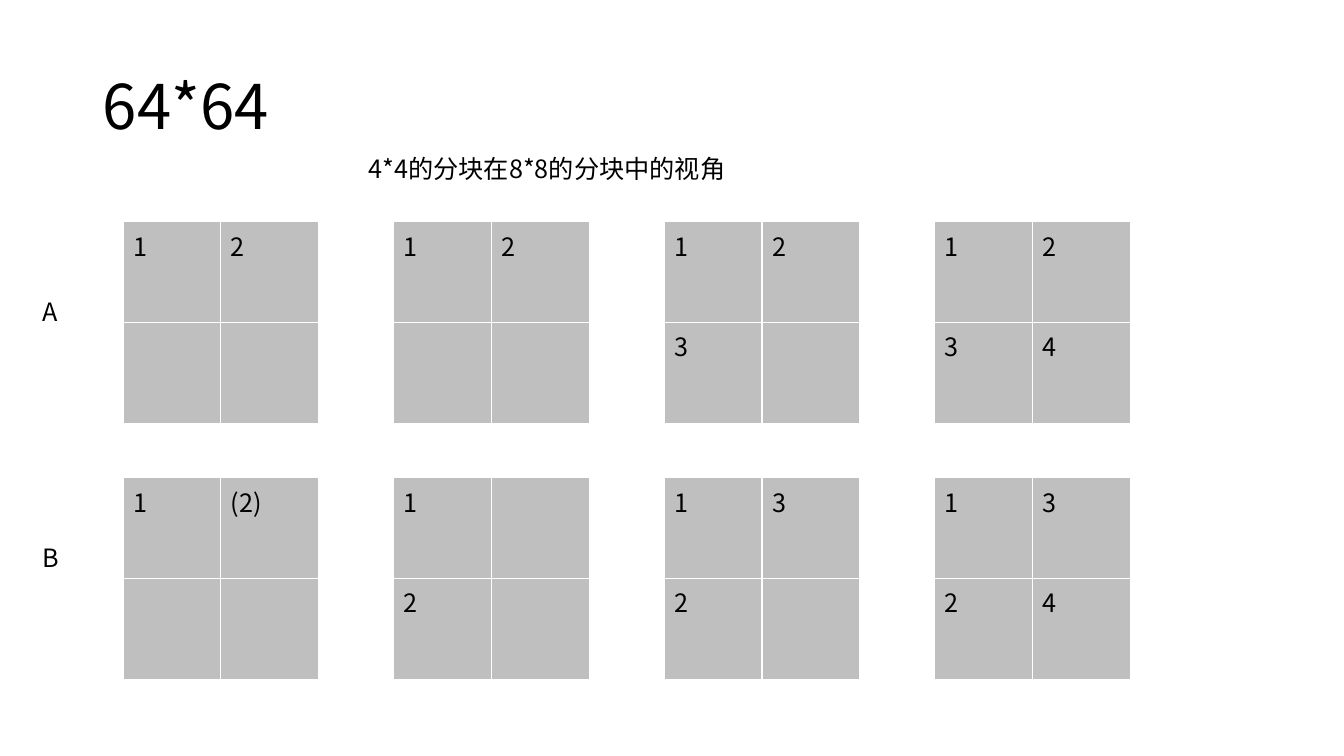
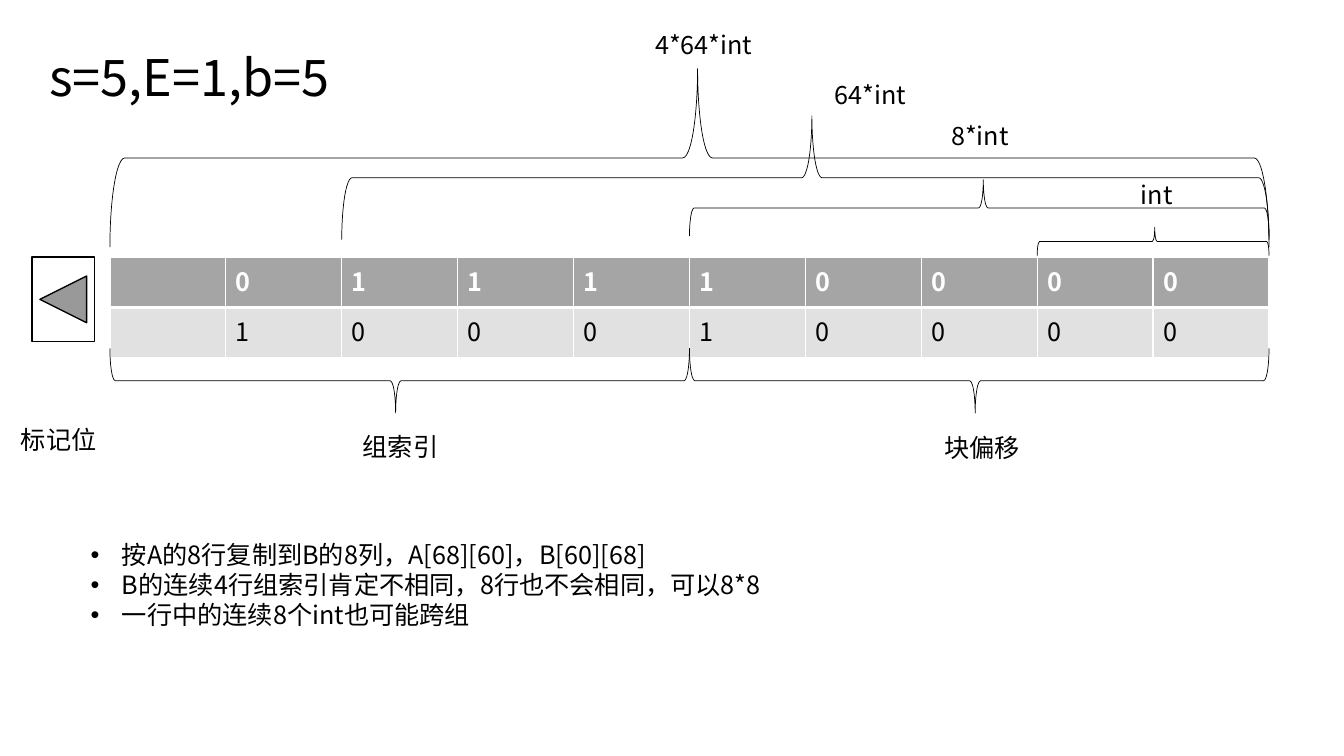
from collections import namedtuple

from lxml.etree import SubElement
from pptx import Presentation
from pptx.dml.color import RGBColor
from pptx.enum.shapes import MSO_SHAPE
from pptx.enum.text import MSO_ANCHOR as Anchor, MSO_AUTO_SIZE as AutoSize, PP_ALIGN as Align
from pptx.oxml.ns import qn
from pptx.oxml.xmlchemy import OxmlElement
from pptx.util import Cm, Pt

Box = namedtuple("Box", "left top width height")

FONT = "Noto Sans CJK SC"
COLORS = {"text": "000000", "white": "FFFFFF", "block": "BFBFBF",
          "header": "A5A5A5", "row": "E1E1E1"}
TITLE_ONLY, TITLE_AND_BODY = 5, 1
LABEL_HEIGHT = 1.02


def rgb(name):
    """Return the named colour."""
    return RGBColor.from_string(COLORS[name])


def lengths(box):
    """Turn a box in centimetres into slide lengths."""
    return [Cm(value) for value in box]


def move(shape, box):
    """Place a shape at the box."""
    shape.left, shape.top, shape.width, shape.height = lengths(box)


def add_run(paragraph, text, size=18, color="text", bold=False):
    """Append a run in the deck's font."""
    run = paragraph.add_run()
    run.text = text
    font = run.font
    font.name, font.size, font.bold = FONT, Pt(size), bold
    font.color.rgb = rgb(color)
    SubElement(run._r.get_or_add_rPr(), qn("a:ea"), typeface=FONT)


def add_title(slide, text, box, size=44):
    """Fill the title placeholder, left aligned."""
    title = slide.shapes.title
    move(title, box)
    frame = title.text_frame
    frame.vertical_anchor = Anchor.MIDDLE
    frame.auto_size = AutoSize.NONE
    paragraph = frame.paragraphs[0]
    paragraph.alignment = Align.LEFT
    paragraph.line_spacing = 0.9
    add_run(paragraph, text, size)


def add_label(slide, text, left, top, width):
    """Add a one-line label."""
    label = slide.shapes.add_textbox(*lengths(Box(left, top, width, LABEL_HEIGHT)))
    frame = label.text_frame
    frame.word_wrap = True
    frame.auto_size = AutoSize.SHAPE_TO_FIT_TEXT
    add_run(frame.paragraphs[0], text)


def set_borders(cell, top=1, bottom=1):
    """Draw white borders, with widths in points, around a cell."""
    properties = cell._tc.get_or_add_tcPr()
    widths = {"a:lnL": 1, "a:lnR": 1, "a:lnT": top, "a:lnB": bottom}
    for index, (tag, width) in enumerate(widths.items()):
        line = OxmlElement(tag)
        line.set("w", str(Pt(width)))
        fill = SubElement(line, qn("a:solidFill"))
        SubElement(fill, qn("a:srgbClr"), val=COLORS["white"])
        properties.insert(index, line)


def add_grid(slide, rows, box, styles):
    """Add an even table; each style holds a row's fill, text and border options."""
    table = slide.shapes.add_table(len(rows), len(rows[0]), *lengths(box)).table
    table.first_row = table.horz_banding = False
    for column in table.columns:
        column.width = Cm(box.width / len(rows[0]))
    for row_index, (texts, style) in enumerate(zip(rows, styles)):
        fill, text_options, borders = style
        table.rows[row_index].height = Cm(box.height / len(rows))
        for column_index, text in enumerate(texts):
            cell = table.cell(row_index, column_index)
            cell.fill.solid()
            cell.fill.fore_color.rgb = rgb(fill)
            set_borders(cell, **borders)
            if text:
                add_run(cell.text_frame.paragraphs[0], text, **text_options)


def add_outline(slide, preset, box, width):
    """Add a black-outlined preset shape without shadow."""
    shape = slide.shapes.add_shape(preset, *lengths(box))
    shape.shadow.inherit = False
    shape.line.color.rgb = rgb("text")
    shape.line.width = Pt(width)
    return shape


def add_brace(slide, box, rotation):
    """Add a brace that fills the box: rotation 90 points up, 270 down."""
    left = box.left + (box.width - box.height) / 2
    top = box.top + (box.height - box.width) / 2
    upright = Box(left, top, box.height, box.width)
    brace = add_outline(slide, MSO_SHAPE.LEFT_BRACE, upright, 0.5)
    brace.fill.background()
    brace.rotation = rotation
    brace.adjustments[0], brace.adjustments[1] = 0.083, 0.493


def add_bullets(slide, texts, box):
    """Fill the body placeholder with a bulleted list."""
    body = slide.placeholders[1]
    move(body, box)
    frame = body.text_frame
    frame.auto_size = AutoSize.NONE
    for index, text in enumerate(texts):
        paragraph = frame.add_paragraph() if index else frame.paragraphs[0]
        paragraph.space_before = Pt(0)
        properties = paragraph._p.get_or_add_pPr()
        properties.set("marL", str(Cm(0.79)))
        properties.set("indent", str(Cm(-0.79)))
        SubElement(properties, qn("a:buFont"), typeface="Arial")
        SubElement(properties, qn("a:buChar"), char="•")
        add_run(paragraph, text)


def add_block_row(slide, blocks, box, gap):
    """Add a row of 2 by 2 blocks, the first one at the box."""
    for index, block in enumerate(blocks):
        place = box._replace(left=box.left + index * (box.width + gap))
        add_grid(slide, block, place, [("block", {}, {})] * 2)


def add_address_table(slide, box):
    """Add the two address rows and the braces around them."""
    rows = [["", *"011110000"], ["", *"100010000"]]
    styles = [("header", {"color": "white", "bold": True}, {"bottom": 3}),
              ("row", {}, {"top": 3})]
    add_grid(slide, rows, box, styles)
    column = box.width / len(rows[0])
    right = box.left + box.width
    # columns spanned, rise above the table, brace height
    for span, rise, height in [(2, 0.75, 0.71), (5, 1.95, 1.42),
                               (8, 3.56, 3.12), (10, 4.75, 4.5)]:
        width = span * column
        add_brace(slide, Box(right - width, box.top - rise, width, height), 90)
    half = box.width / 2
    for left in (box.left, box.left + half):
        add_brace(slide, Box(left, box.top + 2.3, half, 1.63), 270)


def build_block_slide(presentation):
    """Build the slide comparing the blocks of A and B."""
    slide = presentation.slides.add_slide(presentation.slide_layouts[TITLE_ONLY])
    add_title(slide, "64*64", Box(2.34, 0.91, 29.21, 3.68))
    add_label(slide, "4*4的分块在8*8的分块中的视角", 9.04, 3.73, 15.77)
    matrices = [
        ("A", 7.34, 5.59, [[("1", "2"), ("", "")], [("1", "2"), ("", "")],
                           [("1", "2"), ("3", "")], [("1", "2"), ("3", "4")]]),
        ("B", 13.54, 12.04, [[("1", "(2)"), ("", "")], [("1", ""), ("2", "")],
                             [("1", "3"), ("2", "")], [("1", "3"), ("2", "4")]]),
    ]
    for name, label_top, top, blocks in matrices:
        add_label(slide, name, 0.81, label_top, 1.7)
        add_block_row(slide, blocks, Box(3.1, top, 4.93, 5.08), gap=1.89)


def build_address_slide(presentation):
    """Build the slide splitting an address into index and offset."""
    slide = presentation.slides.add_slide(presentation.slide_layouts[TITLE_AND_BODY])
    add_title(slide, "s=5,E=1,b=5", Box(0.99, 0.84, 29.21, 2.34), size=36)
    add_address_table(slide, Box(2.77, 6.48, 29.21, 2.54))
    button = add_outline(slide, MSO_SHAPE.ACTION_BUTTON_BACK_OR_PREVIOUS,
                         Box(0.81, 6.48, 1.57, 2.13), 1)
    button.fill.solid()
    button.fill.fore_color.rgb = rgb("white")
    for text, left, top, width in [
        ("标记位", 0.28, 10.57, 3.51), ("组索引", 8.89, 10.74, 3.51),
        ("块偏移", 23.55, 10.77, 3.51), ("int", 28.5, 4.39, 2.44),
        ("8*int", 23.72, 2.9, 2.44), ("64*int", 20.78, 1.88, 2.44),
        ("4*64*int", 16.26, 0.61, 3.02),
    ]:
        add_label(slide, text, left, top, width)
    add_bullets(slide, ["按A的8行复制到B的8列，A[68][60]，B[60][68]",
                        "B的连续4行组索引肯定不相同，8行也不会相同，可以8*8",
                        "一行中的连续8个int也可能跨组"],
                Box(2.03, 13.46, 23.47, 2.57))


def main():
    """Build and save the presentation."""
    presentation = Presentation()
    presentation.slide_width, presentation.slide_height = Cm(33.87), Cm(19.05)
    build_block_slide(presentation)
    build_address_slide(presentation)
    presentation.save("out.pptx")


main()
